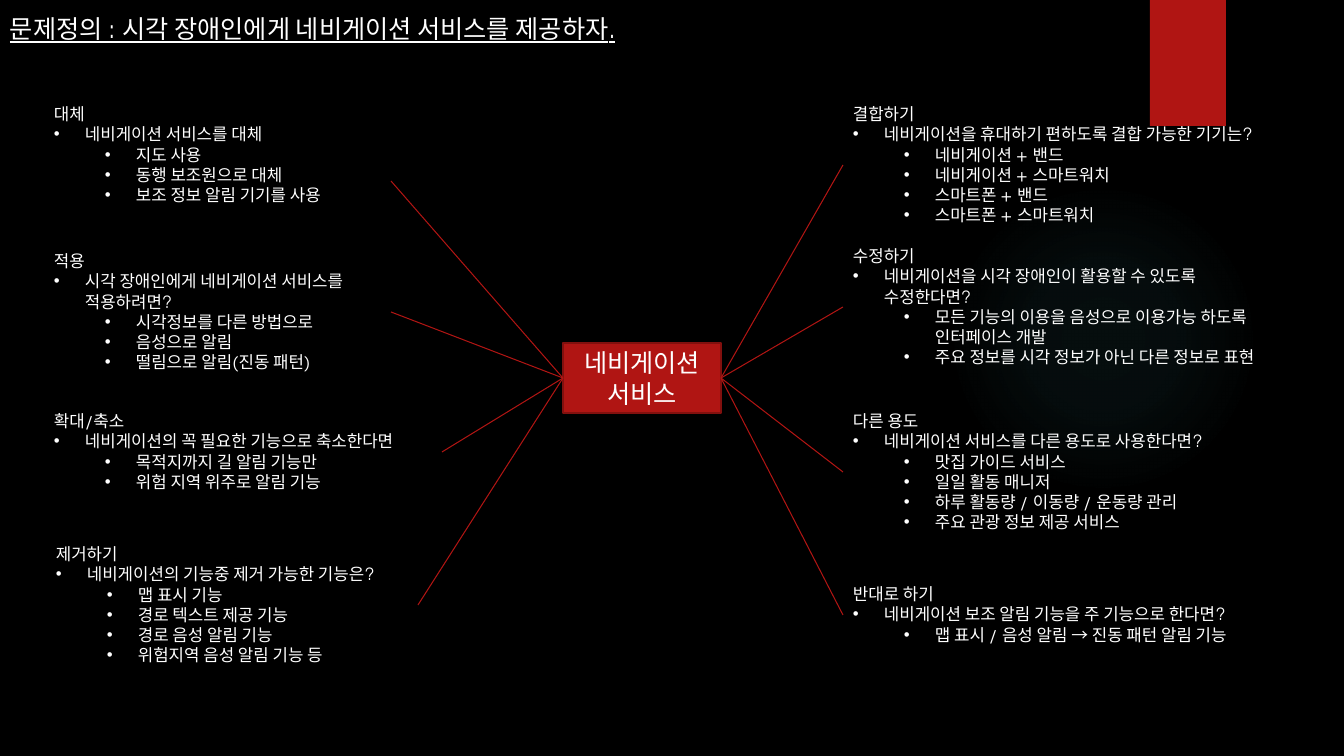
from dataclasses import dataclass

from lxml.etree import SubElement
from pptx import Presentation
from pptx.dml.color import RGBColor
from pptx.enum.shapes import MSO_CONNECTOR as CONNECTOR, MSO_SHAPE as SHAPE
from pptx.enum.text import MSO_ANCHOR as ANCHOR, MSO_AUTO_SIZE as AUTO_SIZE, PP_ALIGN as ALIGN
from pptx.oxml import parse_xml
from pptx.oxml.ns import nsdecls, qn
from pptx.util import Pt

TITLE = "문제정의 : 시각 장애인에게 네비게이션 서비스를 제공하자."
HUB = "네비게이션 서비스"

# Each branch: left, top, width, heading, question, answers
LEFT_BRANCHES = [
    (44, 99, 313, "대체", "네비게이션 서비스를 대체",
     ["지도 사용", "동행 보조원으로 대체", "보조 정보 알림 기기를 사용"]),
    (44, 246, 347, "적용", "시각 장애인에게 네비게이션 서비스를 \n적용하려면?",
     ["시각정보를 다른 방법으로", "음성으로 알림", "떨림으로 알림(진동 패턴)"]),
    (44, 406, 398, "확대/축소", "네비게이션의 꼭 필요한 기능으로 축소한다면",
     ["목적지까지 길 알림 기능만", "위험 지역 위주로 알림 기능"]),
    (46, 539, 372, "제거하기", "네비게이션의 기능중 제거 가능한 기능은?",
     ["맵 표시 기능", "경로 텍스트 제공 기능", "경로 음성 알림 기능",
      "위험지역 음성 알림 기능 등"]),
]
RIGHT_BRANCHES = [
    (843, 99, 464, "결합하기", "네비게이션을 휴대하기 편하도록 결합 가능한 기기는?",
     ["네비게이션 + 밴드", "네비게이션 + 스마트워치", "스마트폰 + 밴드",
      "스마트폰 + 스마트워치"]),
    (843, 241, 468, "수정하기", "네비게이션을 시각 장애인이 활용할 수 있도록 \n수정한다면?",
     ["모든 기능의 이용을 음성으로 이용가능 하도록\n인터페이스 개발",
      "주요 정보를 시각 정보가 아닌 다른 정보로 표현"]),
    (843, 406, 406, "다른 용도", "네비게이션 서비스를 다른 용도로 사용한다면?",
     ["맛집 가이드 서비스", "일일 활동 매니저", "하루 활동량 / 이동량 / 운동량 관리",
      "주요 관광 정보 제공 서비스"]),
    (843, 579, 435, "반대로 하기", "네비게이션 보조 알림 기능을 주 기능으로 한다면?",
     ["맵 표시 / 음성 알림 → 진동 패턴 알림 기능"]),
]
FIRST_LEFT_TIP = (391, 181)  # the one line that ends away from its text

HUB_BOX = (563, 343, 158, 70)
TITLE_BOX = (0, 8, 690, 40)
RIBBON_BOX = (1150, 0, 76, 126)
GLOW_BOX = (948, 184, 310, 310)
LINE_HEIGHT, BOX_PADDING = 20, 12
INDENTS = {1: 82, 0: 31}
BULLET_HANG = 31
EMU_PER_PIXEL = 914400 / 100.8


@dataclass(frozen=True)
class Theme:
    """Colours, font and type sizes."""
    background: str = "000000"
    text: str = "FFFFFF"
    accent: str = "B01513"
    border: str = "82100E"
    glow: str = "50B9C1"
    font: str = "TeX Gyre Adventor"
    large: int = 18
    body: int = 12


THEME = Theme()


def emu(pixels):
    """Turn pixels into EMU."""
    return round(pixels * EMU_PER_PIXEL)


def color(value):
    """Turn a hex string into a colour."""
    return RGBColor.from_string(value)


def add_text(paragraph, text, size, underline=None):
    """Add styled runs, with a line break at each newline."""
    for index, part in enumerate(text.split("\n")):
        if index:
            paragraph.add_line_break()
        run = paragraph.add_run()
        run.text = part
        run.font.name, run.font.size = THEME.font, Pt(size)
        run.font.color.rgb = color(THEME.text)
        run.font.underline = underline


def add_bullet(paragraph, level):
    """Give a paragraph its level, hanging indent and bullet."""
    paragraph.level = level
    properties = paragraph._p.get_or_add_pPr()
    properties.set("marL", str(emu(INDENTS[level])))
    properties.set("indent", str(-emu(BULLET_HANG)))
    SubElement(properties, qn("a:buFont"), typeface="Arial")
    SubElement(properties, qn("a:buChar"), char="•")


def add_block(slide, kind, box, fill=THEME.accent):
    """Add a plain filled shape without an outline."""
    shape = slide.shapes.add_shape(kind, *map(emu, box))
    shape.shadow.inherit = False
    shape.fill.solid()
    shape.fill.fore_color.rgb = color(fill)
    shape.line.fill.background()
    return shape


def add_glow(slide):
    """Add the faint round glow that fades to its edge."""
    shape = add_block(slide, SHAPE.OVAL, GLOW_BOX)
    stops = "".join(
        f'<a:gs pos="{position}000"><a:srgbClr val="{THEME.glow}">'
        f'<a:alpha val="{alpha}000"/></a:srgbClr></a:gs>'
        for position, alpha in [(0, 7), (36, 6), (69, 0), (100, 0)])
    gradient = parse_xml(
        f'<a:gradFill {nsdecls("a")}><a:gsLst>{stops}</a:gsLst><a:path path="circle">'
        '<a:fillToRect l="50000" t="50000" r="50000" b="50000"/></a:path></a:gradFill>')
    properties = shape._element.spPr
    properties.replace(properties.find(qn("a:solidFill")), gradient)


def add_hub(slide):
    """Add the central topic."""
    shape = add_block(slide, SHAPE.RECTANGLE, HUB_BOX)
    shape.line.color.rgb = color(THEME.border)
    shape.line.width = Pt(1.5)
    frame = shape.text_frame
    frame.word_wrap = True
    frame.vertical_anchor = ANCHOR.MIDDLE
    frame.paragraphs[0].alignment = ALIGN.CENTER
    add_text(frame.paragraphs[0], HUB, THEME.large)


def add_text_box(slide, box):
    """Add an unwrapped text box and return its frame."""
    frame = slide.shapes.add_textbox(*map(emu, box)).text_frame
    frame.word_wrap = False
    frame.auto_size = AUTO_SIZE.SHAPE_TO_FIT_TEXT
    return frame


def add_branch(slide, branch):
    """Add a branch's text and return its box."""
    left, top, width, heading, question, answers = branch
    lines = "\n".join([heading, question, *answers]).count("\n") + 1
    box = (left, top, width, BOX_PADDING + LINE_HEIGHT * lines)
    frame = add_text_box(slide, box)
    add_text(frame.paragraphs[0], heading, THEME.body)
    for level, text in [(0, question), *((1, answer) for answer in answers)]:
        paragraph = frame.add_paragraph()
        add_bullet(paragraph, level)
        add_text(paragraph, text, THEME.body)
    return box


def add_line(slide, start, end):
    """Add a thin line between two points."""
    line = slide.shapes.add_connector(CONNECTOR.STRAIGHT, *map(emu, (*start, *end)))
    line.line.color.rgb = color(THEME.accent)
    line.line.width = Pt(0.75)
    SubElement(line._element.spPr, qn("a:effectLst"))


presentation = Presentation()
presentation.slide_width, presentation.slide_height = emu(1344), emu(756)
slide = presentation.slides.add_slide(presentation.slide_layouts[6])
slide.background.fill.solid()
slide.background.fill.fore_color.rgb = color(THEME.background)

add_glow(slide)
add_block(slide, SHAPE.RECTANGLE, RIBBON_BOX)
add_hub(slide)
add_text(add_text_box(slide, TITLE_BOX).paragraphs[0], TITLE, THEME.large, underline=True)

left_boxes = [add_branch(slide, branch) for branch in LEFT_BRANCHES]
right_boxes = [add_branch(slide, branch) for branch in RIGHT_BRANCHES]
left_tips = [(left + width, top + height / 2) for left, top, width, height in left_boxes]
left_tips[0] = FIRST_LEFT_TIP
right_tips = [(left, top + height / 2) for left, top, width, height in right_boxes]

hub_left, hub_top, hub_width, hub_height = HUB_BOX
hub_middle = hub_top + hub_height / 2
for hub_edge, tips in [(hub_left, left_tips), (hub_left + hub_width, right_tips)]:
    for tip in tips:
        add_line(slide, (hub_edge, hub_middle), tip)

presentation.save("out.pptx")
